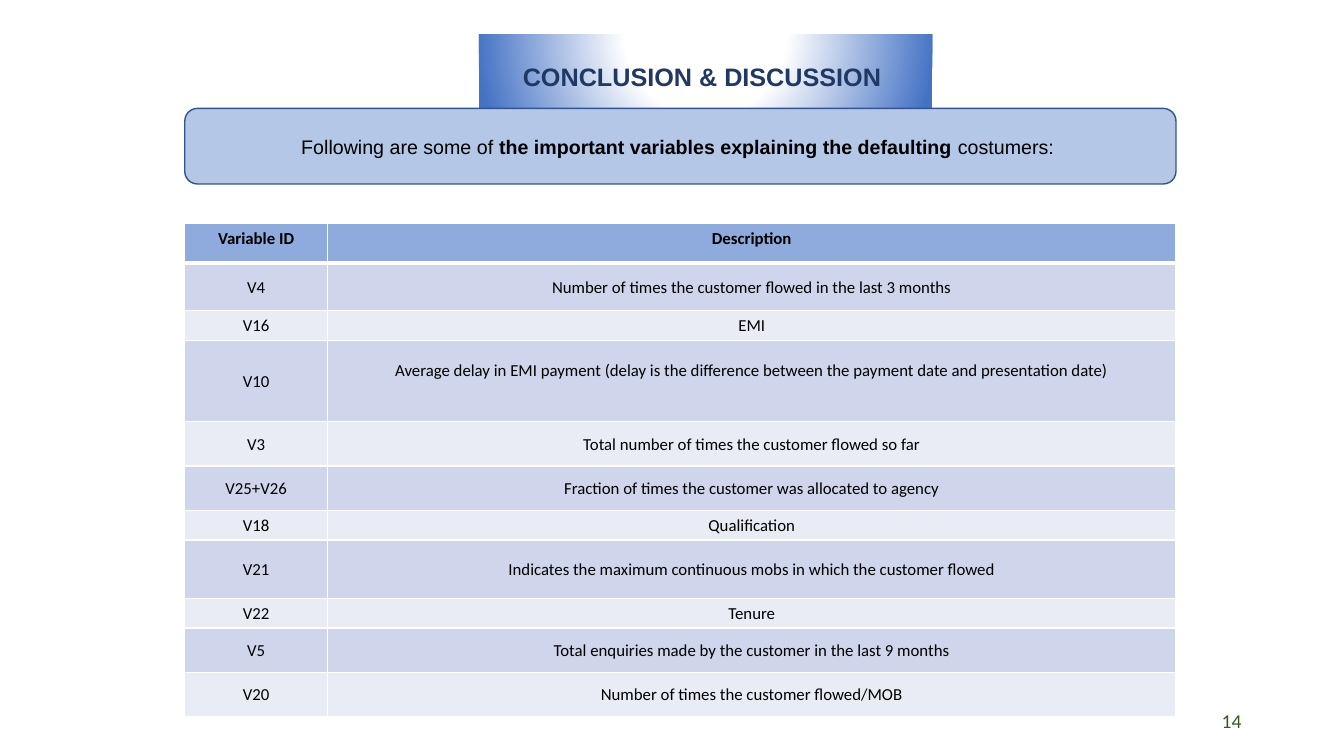
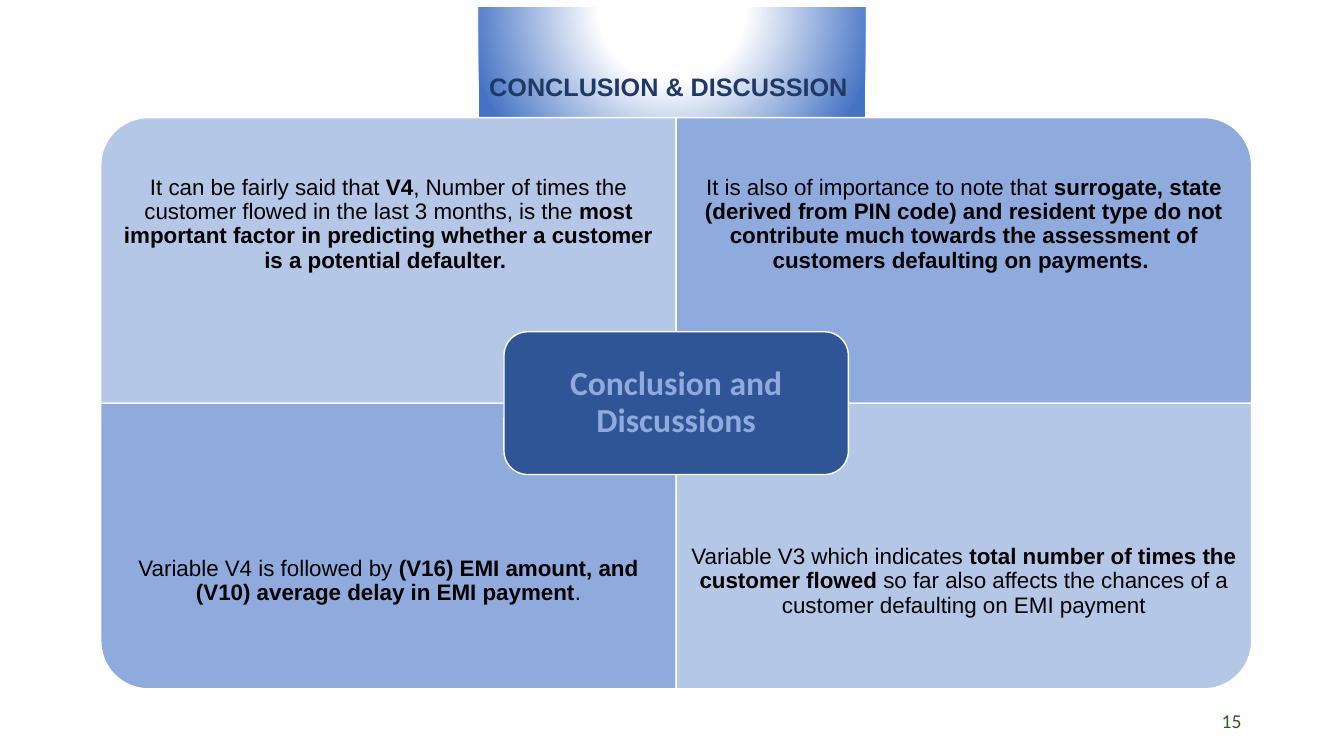
import dataclasses

import pptx
import pptx.dml.color
import pptx.enum.shapes
import pptx.enum.text
import pptx.oxml
import pptx.oxml.ns
import pptx.util

RGB = pptx.dml.color.RGBColor.from_string
PRESET = pptx.enum.shapes.MSO_SHAPE
MIDDLE = pptx.enum.text.MSO_ANCHOR.MIDDLE
CENTER = pptx.enum.text.PP_ALIGN.CENTER
RIGHT = pptx.enum.text.PP_ALIGN.RIGHT
NAMESPACE = pptx.oxml.ns.nsdecls("a")


@dataclasses.dataclass(frozen=True)
class Theme:
    white: str = "FFFFFF"
    black: str = "000000"
    accent: str = "4472C4"
    title: str = "203864"
    page: str = "385723"
    pale: str = "B4C7E7"
    medium: str = "8FAADC"
    deep: str = "2F5597"
    outline: str = "325491"
    bands: tuple = ("CFD5EA", "E9EBF5")
    heading_font: str = "Arial"
    table_font: str = "Calibri"
    title_size: int = 18
    hub_size: int = 24
    quadrant_size: int = 16
    lead_size: int = 14
    page_size: int = 14
    table_size: int = 12


theme = Theme()

# The slide is a grid of 160 columns by 90 rows.
deck = pptx.Presentation()
deck.slide_width = pptx.util.Inches(13.33)
deck.slide_height = pptx.util.Inches(7.5)
COLUMN = deck.slide_width / 160
ROW = deck.slide_height / 90


def grid(left, top, width, height):
    return [int(n * unit) for n, unit in zip((left, top, width, height), (COLUMN, ROW) * 2)]


def write(frame, parts, size, font, color, bold=False, align=CENTER, spacing=1.0, margin=None):
    """Write one paragraph; every second part switches the weight."""
    frame.word_wrap = True
    frame.vertical_anchor = MIDDLE
    if margin is not None:
        for side in ("left", "top", "right", "bottom"):
            setattr(frame, f"margin_{side}", pptx.util.Inches(margin))
    paragraph = frame.paragraphs[0]
    paragraph.alignment = align
    paragraph.line_spacing = spacing
    for index, part in enumerate(parts):
        run = paragraph.add_run()
        run.text = part
        looks = {"size": pptx.util.Pt(size), "name": font, "bold": bold != (index % 2 == 1)}
        for key, value in looks.items():
            setattr(run.font, key, value)
        run.font.color.rgb = RGB(color)


# Shared frame: gradient title and page number
slides = []
for page, title_top, title_width in ((14, 6.7, 54), (15, 7.9, 46)):
    slide = deck.slides.add_slide(deck.slide_layouts[5])
    slides.append(slide)
    heading = slide.shapes.title
    heading.left, heading.top, heading.width, heading.height = grid(57, title_top, title_width, 4.8)
    write(heading.text_frame, ["CONCLUSION & DISCUSSION "], theme.title_size,
          theme.heading_font, theme.title, bold=True)
    heading.text_frame.auto_size = pptx.enum.text.MSO_AUTO_SIZE.SHAPE_TO_FIT_TEXT
    stops = ((0, theme.white), (35, theme.white), (100, theme.accent))
    stop_xml = "".join(
        f'<a:gs pos="{share * 1000}"><a:srgbClr val="{color}"/></a:gs>' for share, color in stops)
    heading.element.spPr.append(pptx.oxml.parse_xml(
        f'<a:gradFill {NAMESPACE} rotWithShape="1"><a:gsLst>{stop_xml}</a:gsLst>'
        '<a:path path="circle"><a:fillToRect l="50000" t="-80000" r="50000" b="180000"/>'
        '</a:path></a:gradFill>'))
    page_number = slide.shapes.add_textbox(*grid(113, 83.4, 36, 4.8))
    write(page_number.text_frame, [str(page)], theme.page_size, theme.table_font,
          theme.page, align=RIGHT)

variables_slide, findings_slide = slides

# Important variables
lead = variables_slide.shapes.add_shape(PRESET.ROUNDED_RECTANGLE, *grid(22, 12.9, 118, 9))
lead.shadow.inherit = False
lead.fill.solid()
lead.fill.fore_color.rgb = RGB(theme.pale)
lead.line.color.rgb = RGB(theme.outline)
lead.line.width = pptx.util.Pt(1)
write(lead.text_frame,
      ["Following are some of ", "the important variables explaining the defaulting ", "costumers: "],
      theme.lead_size, theme.heading_font, theme.black)

# Each entry: row height on the grid, variable, description
variables = [
    (4.7, "Variable ID", "Description"),
    (5.7, "V4", "Number of times the customer flowed in the last 3 months"),
    (3.5, "V16", "EMI"),
    (9.7, "V10", "Average delay in EMI payment (delay is the difference between "
                 "the payment date and presentation date)"),
    (5.3, "V3", "Total number of times the customer flowed so far"),
    (5.3, "V25+V26", "Fraction of times the customer was allocated to agency"),
    (3.5, "V18", "Qualification"),
    (7, "V21", "Indicates the maximum continuous mobs in which the customer flowed"),
    (3.5, "V22", "Tenure"),
    (5.3, "V5", "Total enquiries made by the customer in the last 9 months"),
    (5.3, "V20", "Number of times the customer flowed/MOB"),
]
table_height = sum(entry[0] for entry in variables)
table = variables_slide.shapes.add_table(
    len(variables), 2, *grid(22, 26.6, 118, table_height)).table
for column, share in zip(table.columns, (17, 101)):
    column.width = int(share * COLUMN)

for row, (height, *texts) in enumerate(variables):
    table.rows[row].height = int(height * ROW)
    is_header = row == 0
    for col, text in enumerate(texts):
        cell = table.cell(row, col)
        write(cell.text_frame, [text], theme.table_size, theme.table_font, theme.black, bold=is_header)
        cell.vertical_anchor = pptx.enum.text.MSO_ANCHOR.TOP if is_header else MIDDLE
        if not is_header:
            raised = text.startswith("Average")
            margins = {"left": 0.01, "top": 0.01, "right": 0.01, "bottom": 0.2 if raised else 0}
            for side, inches in margins.items():
                setattr(cell, f"margin_{side}", pptx.util.Inches(inches))
        cell.fill.solid()
        cell.fill.fore_color.rgb = RGB(theme.medium if is_header else theme.bands[(row - 1) % 2])
        widths = {"L": 1, "R": 1, "T": 3 if row == 1 else 1, "B": 3 if is_header else 1}
        for place, (side, points) in enumerate(widths.items()):
            cell._tc.get_or_add_tcPr().insert(place, pptx.oxml.parse_xml(
                f'<a:ln{side} {NAMESPACE} w="{pptx.util.Pt(points)}"><a:solidFill>'
                f'<a:srgbClr val="{theme.white}"/></a:solidFill></a:ln{side}>'))

# Four findings around a hub
LEFT, TOP, WIDE, HIGH, TEXT_HIGH = 12, 14, 68.5, 34, 25.5
findings = [
    (0, 0, 270, theme.pale, [
        "It can be fairly said that ", "V4",
        ", Number of times the customer flowed in the last 3 months, is the ",
        "most important factor in predicting whether a customer is a potential defaulter. "]),
    (1, 0, 0, theme.medium, [
        "It is also of importance to note that ",
        "surrogate, state (derived from PIN code) and resident type do not contribute much "
        "towards the assessment of customers defaulting on payments. "]),
    (0, 1, 180, theme.medium, [
        "Variable V4 is followed by ",
        "(V16) EMI amount, and (V10) average delay in EMI payment", "."]),
    (1, 1, 90, theme.pale, [
        "Variable V3 which indicates ", "total number of times the customer flowed",
        " so far also affects the chances of a customer defaulting on EMI payment"]),
]
panels = []
for across, down, turn, color, parts in findings:
    left, top = LEFT + across * WIDE, TOP + down * HIGH
    x, y, width, height = grid(left, top, WIDE, HIGH)
    if turn % 180:
        x, y = x + (width - height) // 2, y + (height - width) // 2
        width, height = height, width
    quadrant = findings_slide.shapes.add_shape(PRESET.ROUND_1_RECTANGLE, x, y, width, height)
    quadrant.rotation = turn
    panels.append((quadrant, color))
    finding = findings_slide.shapes.add_textbox(
        *grid(left, top + down * (HIGH - TEXT_HIGH), WIDE, TEXT_HIGH))
    write(finding.text_frame, parts, theme.quadrant_size, theme.heading_font, theme.black,
          spacing=0.9, margin=0.12)

HUB_WIDE, HUB_HIGH = 41, 17
hub = findings_slide.shapes.add_shape(
    PRESET.ROUNDED_RECTANGLE,
    *grid(LEFT + WIDE - HUB_WIDE / 2, TOP + HIGH - HUB_HIGH / 2, HUB_WIDE, HUB_HIGH))
write(hub.text_frame, ["Conclusion and Discussions"], theme.hub_size, theme.table_font,
      theme.medium, bold=True, spacing=0.9, margin=0.17)
panels.append((hub, theme.deep))

for panel, color in panels:
    panel.shadow.inherit = False
    panel.fill.solid()
    panel.fill.fore_color.rgb = RGB(color)
    panel.line.color.rgb = RGB(theme.white)
    panel.line.width = pptx.util.Pt(1)

deck.save("out.pptx")
